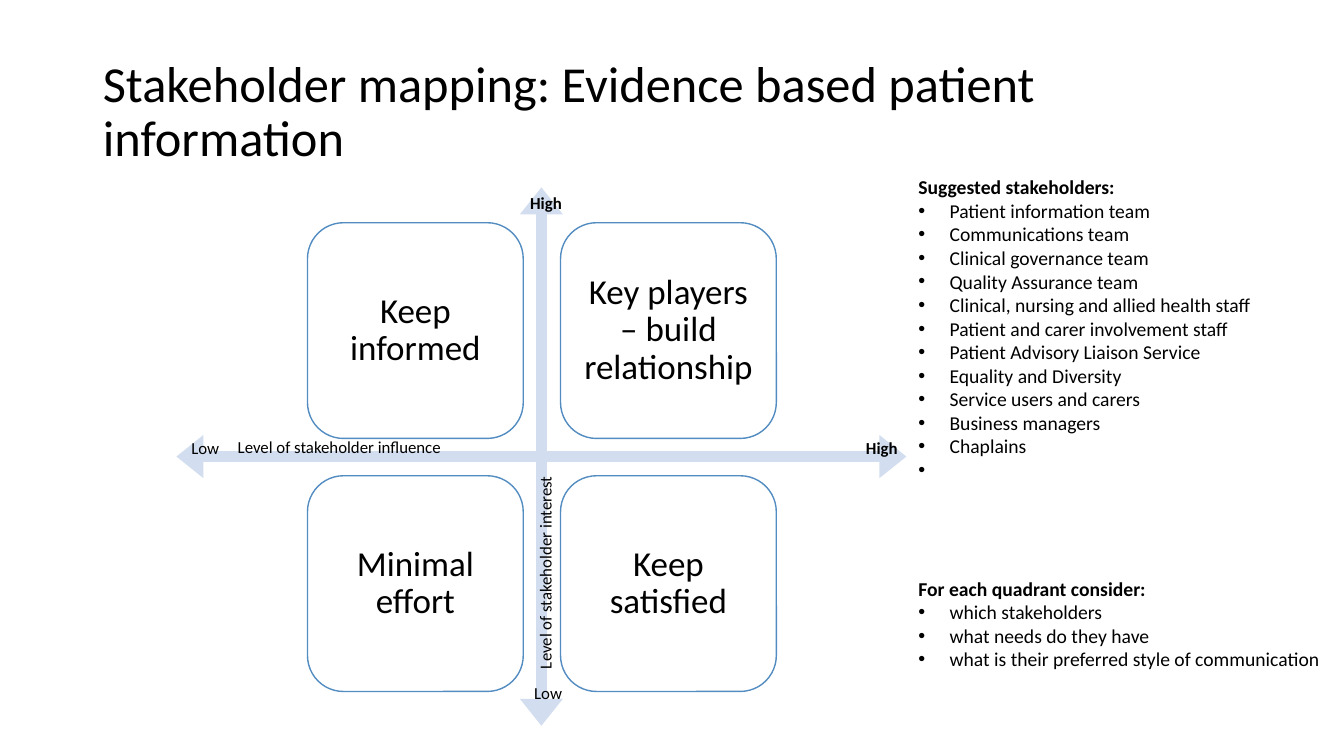
from pptx import Presentation
from pptx.dml.color import RGBColor
from pptx.enum.shapes import MSO_SHAPE
from pptx.enum.text import MSO_ANCHOR, MSO_AUTO_SIZE, PP_ALIGN
from pptx.oxml.ns import qn
from pptx.util import Inches, Pt
from lxml import etree

CROSS = MSO_SHAPE.QUAD_ARROW
ROUND = MSO_SHAPE.ROUNDED_RECTANGLE
LEFT, CENTER = PP_ALIGN.LEFT, PP_ALIGN.CENTER
MIDDLE = MSO_ANCHOR.MIDDLE
FIXED = MSO_AUTO_SIZE.NONE

FONT = "Calibri"
INK, WHITE = "000000", "FFFFFF"
ARROW, EDGE = "D2DEEF", "528CC1"


def color(target, value):
    target.rgb = RGBColor.from_string(value)


def write(par, text, size=12, bold=False, align=LEFT, space=None, after=0, bullet=False):
    if bullet:
        props = par._p.get_or_add_pPr()
        props.set("marL", str(Inches(0.31)))
        props.set("indent", str(-Inches(0.31)))
        font = etree.SubElement(props, qn("a:buFont"))
        font.set("typeface", "Arial")
        etree.SubElement(props, qn("a:buChar")).set("char", "•")
    par.alignment = align
    par.line_spacing = space
    par.space_before, par.space_after = Pt(0), Pt(after)
    run = par.add_run()
    run.text = text
    run.font.name, run.font.size, run.font.bold = FONT, Pt(size), bold
    color(run.font.color, INK)


class Page:
    def __init__(self, deck):
        self.slide = deck.slides.add_slide(deck.slide_layouts[5])
        self.shapes = self.slide.shapes

    def title(self, text, x, y, w, h):
        head = self.shapes.title
        head.left, head.top, head.width, head.height = map(Inches, (x, y, w, h))
        frame = head.text_frame
        frame.word_wrap, frame.auto_size = True, FIXED
        frame.vertical_anchor = MIDDLE
        write(frame.paragraphs[0], text, size=36, space=0.9)

    def shape(self, kind, x, y, w, h, fill, line=None):
        item = self.shapes.add_shape(kind, *map(Inches, (x, y, w, h)))
        item.shadow.inherit = False
        item.fill.solid()
        color(item.fill.fore_color, fill)
        if line:
            color(item.line.color, line)
            item.line.width = Pt(1)
        else:
            item.line.fill.background()
        return item

    def card(self, text, x, y, side):
        frame = self.shape(ROUND, x, y, side, side, WHITE, EDGE).text_frame
        frame.word_wrap, frame.vertical_anchor = True, MIDDLE
        # The rounded corners already inset the text by 0.1
        frame.margin_left = frame.margin_right = Inches(0.1)
        frame.margin_top = frame.margin_bottom = Inches(0.1)
        write(frame.paragraphs[0], text, size=25, align=CENTER, space=0.9, after=11)

    def box(self, x, y, w, h, wrap=False, turn=0):
        item = self.shapes.add_textbox(*map(Inches, (x, y, w, h)))
        item.rotation = turn
        item.text_frame.word_wrap = wrap
        return item.text_frame

    def label(self, text, x, y, w, bold=False, turn=0):
        frame = self.box(x, y, w, 0.3, turn=turn)
        write(frame.paragraphs[0], text, bold=bold)

    def points(self, head, items, x, y, w, h):
        frame = self.box(x, y, w, h, wrap=True)
        write(frame.paragraphs[0], head, size=14, bold=True)
        for item in items:
            write(frame.add_paragraph(), item, size=14, bullet=True)


def main():
    deck = Presentation()
    deck.slide_width, deck.slide_height = Inches(13.33), Inches(7.5)
    page = Page(deck)
    page.title("Stakeholder mapping: Evidence based patient information",
               0.92, 0.4, 11.5, 1.45)

    # Crossed axes
    axes = page.shape(CROSS, 1.75, 1.86, 7.24, 5.34, ARROW)
    for i, part in enumerate((0.02, 0.04, 0.05)):
        axes.adjustments[i] = part

    # Quadrants
    grid = (("Keep informed", "Key players – build relationship"),
            ("Minimal effort", "Keep satisfied"))
    for row, names in enumerate(grid):
        for col, name in enumerate(names):
            page.card(name, 3.05 + 2.51 * col, 2.21 + 2.51 * row, 2.14)

    # Axis labels
    page.label("Level of stakeholder influence", 2.26, 4.28, 2.24)
    page.label("Low", 1.8, 4.29, 0.48)
    page.label("High", 8.49, 4.29, 0.52, bold=True)
    page.label("Level of stakeholder interest", 4.32, 5.5, 2.17, turn=270)
    page.label("Low", 5.2, 6.72, 0.48)
    page.label("High", 5.16, 1.86, 0.52, bold=True)

    # Side lists
    teams = ("Patient information team", "Communications team",
             "Clinical governance team", "Quality Assurance team",
             "Clinical, nursing and allied health staff",
             "Patient and carer involvement staff",
             "Patient Advisory Liaison Service", "Equality and Diversity",
             "Service users and carers", "Business managers", "Chaplains", " ")
    page.points("Suggested stakeholders:", teams, 9.01, 1.69, 4.13, 3.16)
    asks = ("which stakeholders", "what needs do they have",
            "what is their preferred style of communication")
    page.points("For each quadrant consider:", asks, 9.01, 5.67, 4.32, 1.04)

    deck.save("out.pptx")


if __name__ == "__main__":
    main()
